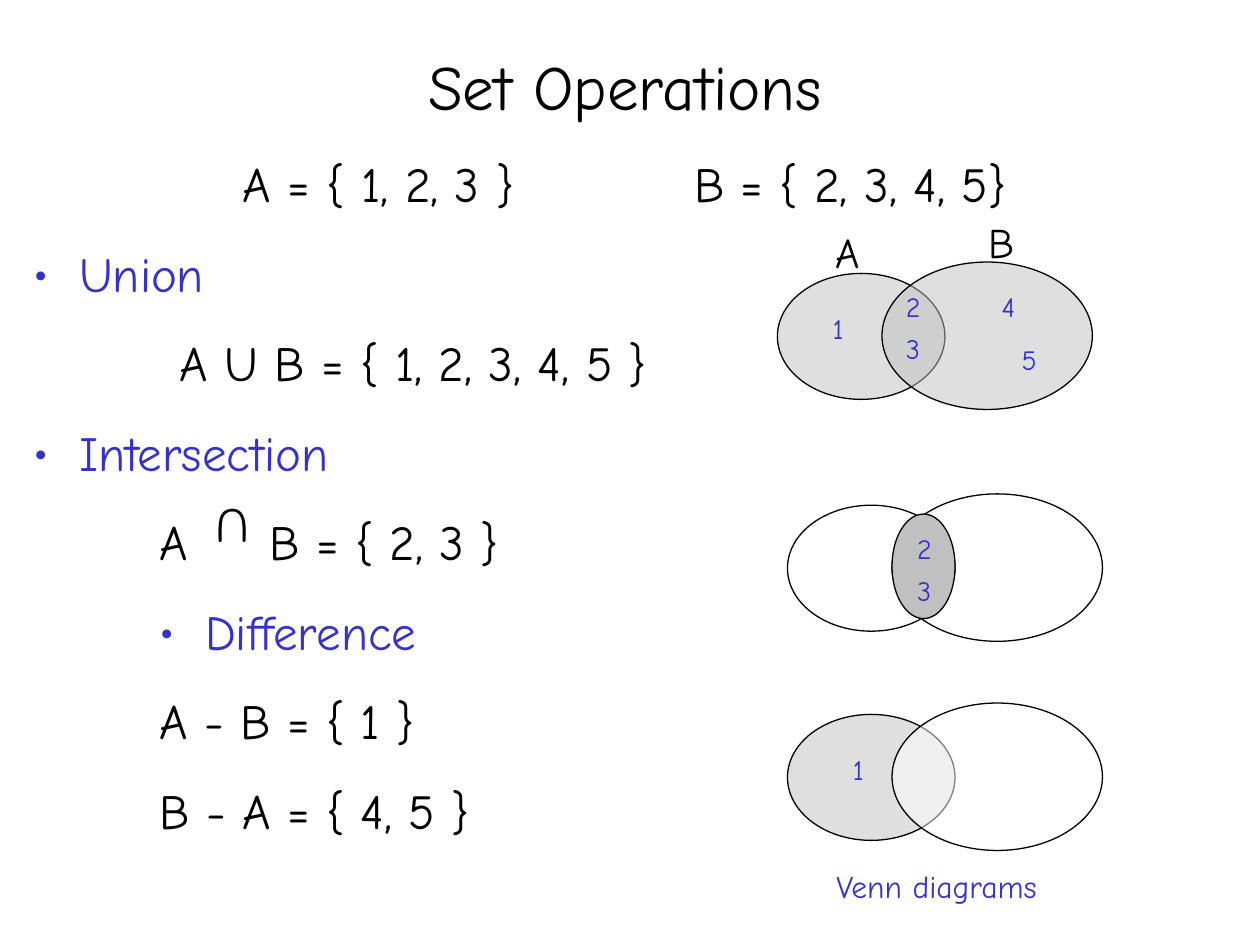
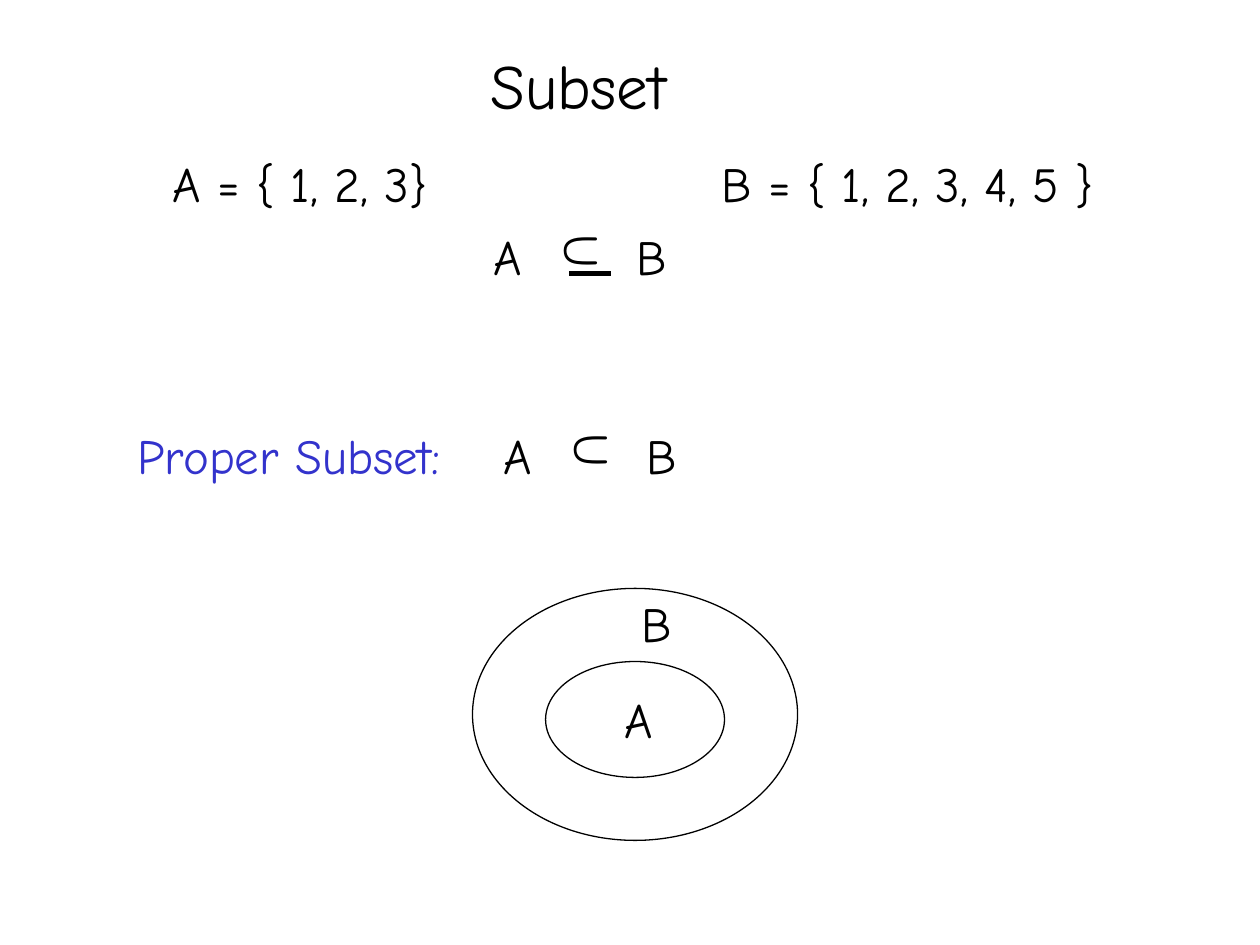
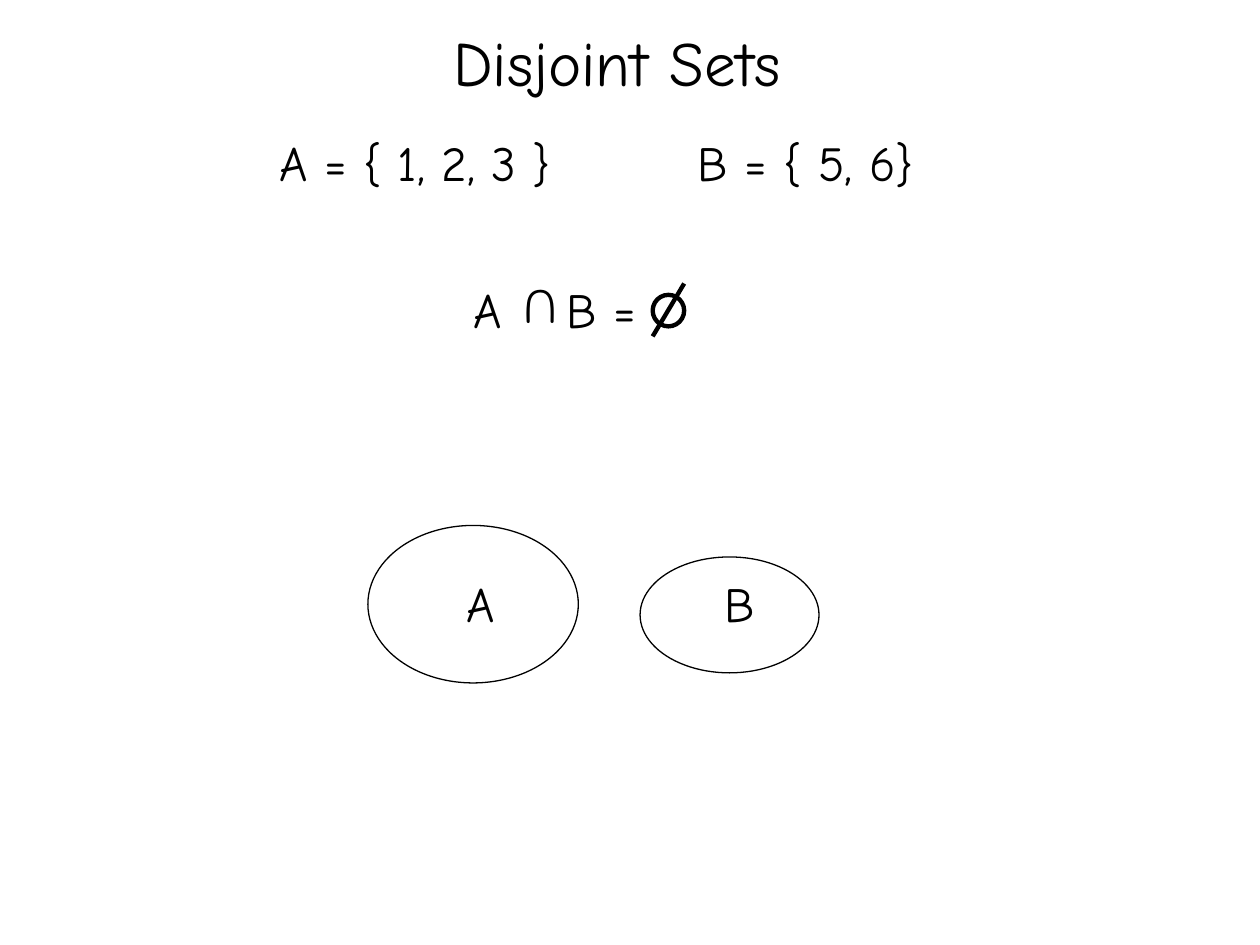
from lxml import etree
from pptx import Presentation
from pptx import util as u
from pptx.dml.color import RGBColor
from pptx.enum import shapes, text
from pptx.oxml import ns

COLORS = {"ink": "000000", "accent": "3333CC", "shade": "C0C0C0", "paper": "FFFFFF"}
FONT = "Comic Neue"
TITLE, BODY, LABEL, CAPTION, ELEMENT = 36, 28, 24, 18, 16
LINE_HEIGHT = 0.57
MEMBER_GAP = 1.13


def rgb(name):
    return RGBColor.from_string(COLORS[name])


def sub(parent, tag, **attributes):
    return etree.SubElement(parent, ns.qn(tag), attributes)


def style(paragraph, size, color):
    for run in paragraph.runs:
        run.font.size = u.Pt(size)
        run.font.name = FONT
        run.font.color.rgb = rgb(color)


def add_tabs(paragraph, stops):
    tab_list = sub(paragraph._p.get_or_add_pPr(), "a:tabLst")
    for stop in stops:
        sub(tab_list, "a:tab", pos=str(u.Inches(stop)), algn="l")


def add_bullet(paragraph, margin, hang=0.36):
    properties = paragraph._p.get_or_add_pPr()
    properties.set("marL", str(u.Inches(margin + hang)))
    properties.set("indent", str(-u.Inches(hang)))
    bullet_color = sub(properties, "a:buClr")
    sub(bullet_color, "a:srgbClr", val=COLORS["accent"])
    sub(properties, "a:buFont", typeface=FONT)
    sub(properties, "a:buChar", char="•")


def write(slide, words, left, top, width, height=LINE_HEIGHT, size=BODY,
          color="ink", tabs=(), rotation=0):
    box = slide.shapes.add_textbox(*map(u.Inches, (left, top, width, height)))
    box.rotation = rotation
    frame = box.text_frame
    frame.word_wrap = bool(tabs)
    frame.text = words
    paragraph = frame.paragraphs[0]
    if tabs:
        add_tabs(paragraph, tabs)
    style(paragraph, size, color)
    return box


def oval(slide, left, top, width, height, fill=None, opacity=100, weight=0.75):
    region = slide.shapes.add_shape(
        shapes.MSO_SHAPE.OVAL, *map(u.Inches, (left, top, width, height)))
    region.shadow.inherit = False
    region.line.color.rgb = rgb("ink")
    region.line.width = u.Pt(weight)
    if fill is None:
        region.fill.background()
        return
    region.fill.solid()
    region.fill.fore_color.rgb = rgb(fill)
    if opacity < 100:
        tint = region._element.spPr.find(ns.qn("a:solidFill"))[0]
        sub(tint, "a:alpha", val=str(opacity * 1000))


def stroke(slide, start, end, weight):
    line = slide.shapes.add_connector(
        shapes.MSO_CONNECTOR.STRAIGHT, *map(u.Inches, start + end))
    line.line.color.rgb = rgb("ink")
    line.line.width = u.Pt(weight)
    sub(line._element.spPr, "a:effectLst")


def venn(slide, left, top, fill_a=None, fill_b=None, lens=False, elements=(), names=()):
    oval(slide, left, top + 0.09, 1.33, 1, fill_a, 50)
    oval(slide, left + 0.83, top, 1.67, 1.17, fill_b, 50)
    if lens:
        oval(slide, left + 0.83, top + 0.16, 0.5, 0.83, "shade")
    for name, x, y in names:
        write(slide, name, left + x, top + y, 0.4, 0.5, LABEL)
    for element, x, y in elements:
        write(slide, element, left + x, top + y, 0.31, 0.37, ELEMENT, "accent")


def operations_text(slide, left, top, width, height):
    rows = [
        ("Set Operations", "title", 0),
        ("\tA = { 1, 2, 3 }\tB = { 2, 3, 4, 5}", "tabs", (1.66, 5.24)),
        ("Union", "bullet", 0),
        ("A U B = { 1, 2, 3, 4, 5 }", "indent", 1.16),
        ("Intersection", "bullet", 0),
        ("\tA\tB = { 2, 3 }", "tabs", (1, 1.87)),
        ("Difference", "bullet", 1),
        ("A - B = { 1 }", "indent", 1),
        ("B - A = { 4, 5 }", "indent", 1),
    ]
    box = slide.shapes.add_textbox(*map(u.Inches, (left, top, width, height)))
    frame = box.text_frame
    frame.word_wrap = True
    for index, (words, kind, place) in enumerate(rows):
        paragraph = frame.add_paragraph() if index else frame.paragraphs[0]
        paragraph.text = words
        if index:
            paragraph.space_before = u.Pt(17.5)
        if kind == "title":
            paragraph.alignment = text.PP_ALIGN.CENTER
        elif kind == "tabs":
            add_tabs(paragraph, place)
        elif kind == "bullet":
            add_bullet(paragraph, place)
        else:
            properties = paragraph._p.get_or_add_pPr()
            properties.set("marL", str(u.Inches(place)))
            properties.set("indent", "0")
        style(paragraph, TITLE if kind == "title" else BODY,
              "accent" if kind == "bullet" else "ink")
    write(slide, "U", left + 1.41, top + 3.58, 0.5, rotation=180)


def set_operations(slide):
    operations_text(slide, 0.17, 0.33, 9.58, 6.38)
    venn(slide, 6.17, 2.08, "shade", "shade",
         elements=[("2", 0.92, 0.17), ("3", 0.92, 0.5), ("1", 0.34, 0.34),
                   ("4", 1.68, 0.17), ("5", 1.84, 0.59)],
         names=[("A", 0.36, -0.33), ("B", 1.58, -0.41)])
    venn(slide, 6.25, 3.92, lens=True, elements=[("2", 0.93, 0.25), ("3", 0.93, 0.58)])
    venn(slide, 6.25, 5.58, "shade", "paper", elements=[("1", 0.42, 0.34)])
    write(slide, "Venn diagrams", 6.54, 6.83, 1.85, 0.4, CAPTION, "accent")


def subset_relation(slide, left, top, or_equal=False):
    write(slide, "A\tB", left, top, 1.65, tabs=[MEMBER_GAP])
    write(slide, "U", left + 0.58, top - 0.04, 0.47, rotation=90)
    if or_equal:
        stroke(slide, (left + 0.7, top + 0.42), (left + 1.03, top + 0.42), 3)


def subset(slide):
    title = write(slide, "Subset", 3.79, 0.32, 1.6, 0.7, TITLE)
    title.text_frame.paragraphs[0].alignment = text.PP_ALIGN.CENTER
    title.text_frame.vertical_anchor = text.MSO_ANCHOR.MIDDLE
    write(slide, "A = { 1, 2, 3}\tB = { 1, 2, 3, 4, 5 }", 1.27, 1.17, 7.6, tabs=[4.36])
    subset_relation(slide, 3.82, 1.75, or_equal=True)
    write(slide, "Proper Subset:", 0.99, 3.33, 2.7, color="accent")
    subset_relation(slide, 3.9, 3.33)
    oval(slide, 4.33, 5.25, 1.42, 0.92)
    oval(slide, 3.75, 4.67, 2.58, 2)
    write(slide, "A", 4.86, 5.42, 0.42)
    write(slide, "B", 4.99, 4.66, 0.44)


def empty_intersection(slide, left, top):
    write(slide, "A\tB =", left, top, 1.95, tabs=[0.74])
    write(slide, "U", left + 0.36, top, 0.5, rotation=180)
    oval(slide, left + 1.52, top + 0.17, 0.25, 0.25, weight=2.5)
    stroke(slide, (left + 1.77, top + 0.08), (left + 1.52, top + 0.5), 2.5)


def disjoint_sets(slide):
    write(slide, "Disjoint Sets", 3.5, 0.14, 2.9, 0.7, TITLE)
    write(slide, "A = { 1, 2, 3 }\tB = { 5, 6}", 2.12, 1, 5.4, tabs=[3.32])
    empty_intersection(slide, 3.66, 2.17)
    oval(slide, 2.92, 4.17, 1.67, 1.25)
    oval(slide, 5.08, 4.42, 1.42, 0.92)
    write(slide, "A", 3.6, 4.5, 0.42)
    write(slide, "B", 5.65, 4.5, 0.44)


def main():
    deck = Presentation()
    deck.slide_width, deck.slide_height = u.Inches(10), u.Inches(7.5)
    for build in (set_operations, subset, disjoint_sets):
        build(deck.slides.add_slide(deck.slide_layouts[6]))
    deck.save("out.pptx")


if __name__ == "__main__":
    main()
